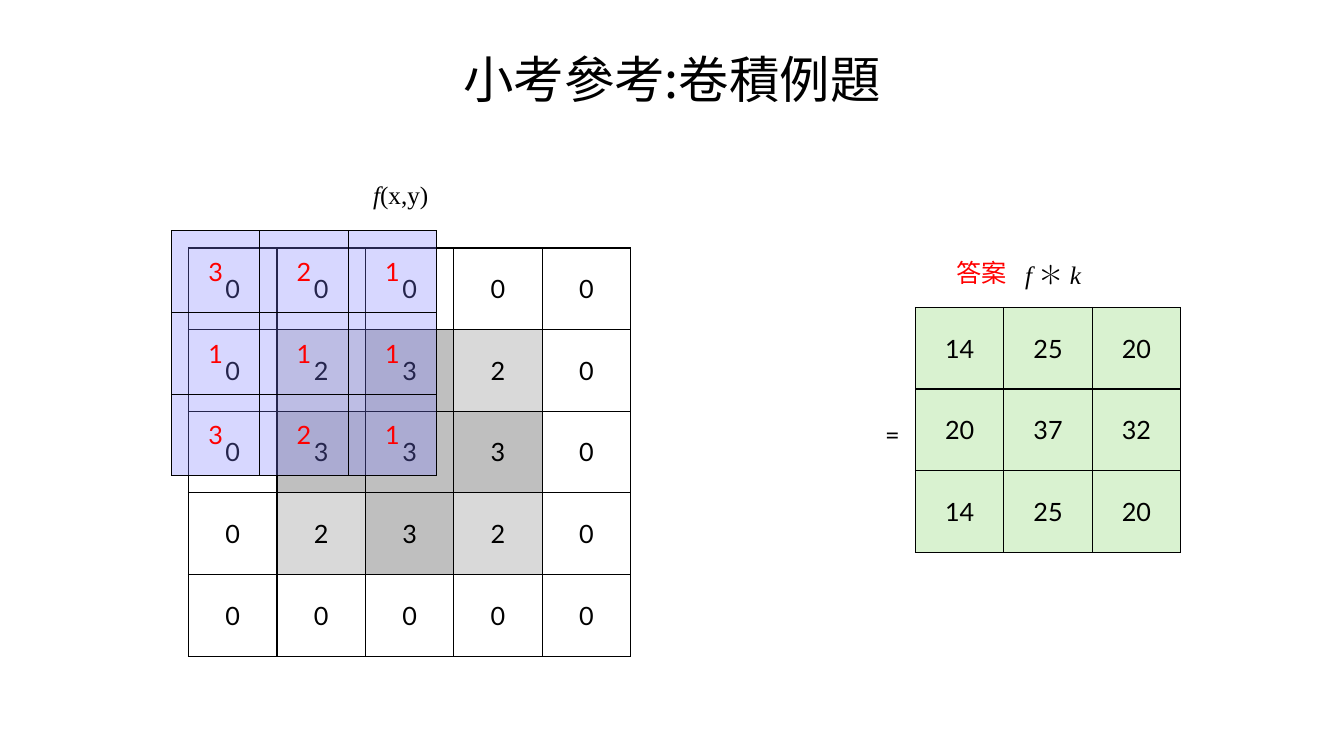
from lxml import etree
from pptx import Presentation
from pptx.dml.color import RGBColor
from pptx.enum import text as t
from pptx.oxml import ns
from pptx.util import Inches, Pt

SANS, SERIF, HAN = "Lato", "Times New Roman", "Noto Sans CJK SC"
BLACK, RED, WHITE = "000000", "FF0000", "FFFFFF"
GREEN, BLUE, LIGHT, MID = "D9F2D0", "7D7DFF", "D9D9D9", "BFBFBF"
COL, ROW = 0.877, 0.81


def color(fmt, code):
    fmt.rgb = RGBColor.from_string(code)


def add(parent, tag, **attrs):
    return etree.SubElement(parent, ns.qn(tag), attrs)


class Board:
    def __init__(self, slide):
        self.slide = slide

    def style(self, run, font, size, code, italic=False):
        run.font.name = font
        run.font.size = Pt(size)
        run.font.italic = italic
        color(run.font.color, code)
        add(run.font._element, "a:ea", typeface=font)

    def title(self, words):
        head = self.slide.shapes.title
        head.left, head.top = 0, Inches(0.42)
        head.width, head.height = Inches(13.33), Inches(0.71)
        head.text_frame.text = words
        head.text_frame.vertical_anchor = t.MSO_ANCHOR.MIDDLE
        para = head.text_frame.paragraphs[0]
        para.alignment = t.PP_ALIGN.CENTER
        self.style(para.runs[0], HAN, 36, BLACK)

    def label(self, x, y, width, parts, font, code=BLACK, center=False):
        """Write a line of (words, italic) parts."""
        box = self.slide.shapes.add_textbox(
            Inches(x), Inches(y), Inches(width), Inches(0.4))
        box.text_frame.word_wrap = center
        para = box.text_frame.paragraphs[0]
        para.alignment = t.PP_ALIGN.CENTER if center else t.PP_ALIGN.LEFT
        for words, italic in parts:
            run = para.add_run()
            run.text = words
            self.style(run, font, 18, code, italic)

    def border(self, cell):
        props = cell._tc.get_or_add_tcPr()
        for i, side in enumerate("LRTB"):
            line = add(props, "a:ln" + side, w=str(Pt(1)))
            add(add(line, "a:solidFill"), "a:srgbClr", val=BLACK)
            props.insert(i, line)

    def grid(self, x, y, rows, fill, code=BLACK, alpha=None):
        """Draw a matrix; fill maps a value to its cell colour."""
        high, wide = len(rows), len(rows[0])
        table = self.slide.shapes.add_table(
            high, wide, Inches(x), Inches(y),
            Inches(COL * wide), Inches(ROW * high)).table
        table.first_row = table.horz_banding = False
        for r, row in enumerate(rows):
            for c, value in enumerate(row):
                cell = table.cell(r, c)
                cell.text_frame.text = str(value)
                cell.vertical_anchor = t.MSO_ANCHOR.MIDDLE
                para = cell.text_frame.paragraphs[0]
                para.alignment = t.PP_ALIGN.CENTER
                self.style(para.runs[0], SANS, 18, code)
                cell.fill.solid()
                color(cell.fill.fore_color, fill(value))
                if alpha:
                    tint = cell._tc.tcPr.find(".//" + ns.qn("a:srgbClr"))
                    add(tint, "a:alpha", val=str(alpha * 1000))
                self.border(cell)


def main():
    deck = Presentation()
    deck.slide_width, deck.slide_height = Inches(13.33), Inches(7.5)
    board = Board(deck.slides.add_slide(deck.slide_layouts[5]))

    image = [[0, 0, 0, 0, 0],
             [0, 2, 3, 2, 0],
             [0, 3, 3, 3, 0],
             [0, 2, 3, 2, 0],
             [0, 0, 0, 0, 0]]
    kernel = [[3, 2, 1], [1, 1, 1], [3, 2, 1]]
    answer = [[14, 25, 20], [20, 37, 32], [14, 25, 20]]
    shades = {0: WHITE, 2: LIGHT, 3: MID}

    board.title("小考參考:卷積例題")
    board.label(3.51, 1.73, 0.93, [("f", True), ("(x,y)", False)],
                SERIF, center=True)
    board.grid(9.08, 3.05, answer, lambda value: GREEN)
    board.label(9.98, 2.52, 0.93,
                [("f ", True), ("＊ ", False), ("k", True)],
                SERIF, center=True)
    board.grid(1.87, 2.46, image, shades.get)
    board.label(8.68, 4.11, 0.34, [("=", False)], SANS)
    board.grid(1.7, 2.29, kernel, lambda value: BLUE, RED, alpha=30)
    board.label(9.39, 2.5, 0.71, [("答案", False)], HAN, RED)
    deck.save("out.pptx")


if __name__ == "__main__":
    main()
